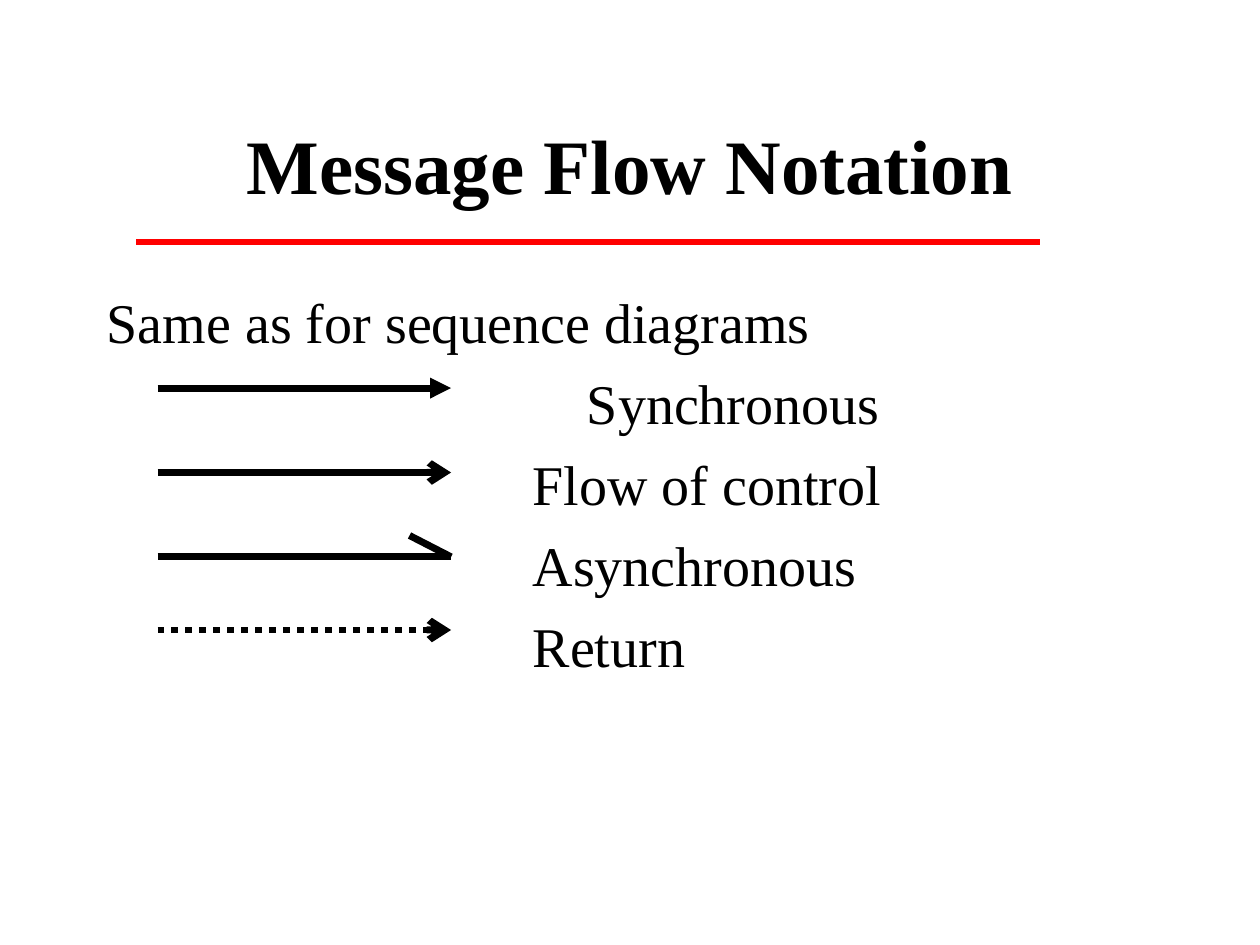
import pptx
import pptx.dml.color
import pptx.enum.dml
import pptx.enum.shapes
import pptx.enum.text
import pptx.oxml
import pptx.oxml.ns
import pptx.util

Inches = pptx.util.Inches
Pt = pptx.util.Pt
COLORS = {"text": "000000", "rule": "FF0000"}
FONT = "Times New Roman"


def add_line(start, end, color, width, head=None, dash=None):
    line = slide.shapes.add_connector(
        pptx.enum.shapes.MSO_CONNECTOR.STRAIGHT,
        Inches(start[0]), Inches(start[1]), Inches(end[0]), Inches(end[1]))
    line.line.color.rgb = pptx.dml.color.RGBColor.from_string(COLORS[color])
    line.line.width = Pt(width)
    if dash:
        line.line.dash_style = dash
    if head:
        tail_end = pptx.oxml.parse_xml(
            f'<a:tailEnd {pptx.oxml.ns.nsdecls("a")} type="{head}"/>')
        line.line._get_or_add_ln().append(tail_end)
    line._element.spPr.append(
        pptx.oxml.parse_xml(f'<a:effectLst {pptx.oxml.ns.nsdecls("a")}/>'))


def style_font(paragraph, size, bold=False):
    paragraph.font.name = FONT
    paragraph.font.size = Pt(size)
    paragraph.font.bold = bold
    paragraph.font.color.rgb = pptx.dml.color.RGBColor.from_string(COLORS["text"])


presentation = pptx.Presentation()
presentation.slide_width = Inches(10)
presentation.slide_height = Inches(7.5)
slide = presentation.slides.add_slide(presentation.slide_layouts[6])

# Title and the rule below it
add_line((1.08, 1.92), (8.25, 1.92), "rule", 3)
title = slide.shapes.add_textbox(Inches(0.75), Inches(0.67), Inches(8.5), Inches(1.25))
title.text_frame.word_wrap = True
title.text_frame.vertical_anchor = pptx.enum.text.MSO_ANCHOR.MIDDLE
paragraph = title.text_frame.paragraphs[0]
paragraph.text = "Message Flow Notation"
paragraph.alignment = pptx.enum.text.PP_ALIGN.CENTER
style_font(paragraph, 44, bold=True)

# Introduction and arrow labels, each with its left indent in inches
body_lines = [
    ("Same as for sequence diagrams", 0),
    ("Synchronous", 3.81),
    ("Flow of control", 3.38),
    ("Asynchronous", 3.38),
    ("Return", 3.38),
]
body = slide.shapes.add_textbox(Inches(0.75), Inches(2.23), Inches(8.5), Inches(4.44))
body.text_frame.word_wrap = True
for index, (text, indent) in enumerate(body_lines):
    if index == 0:
        paragraph = body.text_frame.paragraphs[0]
    else:
        paragraph = body.text_frame.add_paragraph()
        paragraph.space_before = Pt(8)
    paragraph.text = text
    paragraph._p.get_or_add_pPr().set("marL", str(Inches(indent)))
    style_font(paragraph, 32)

# Message arrows; the asynchronous one has a half head drawn as a line
arrow_left, arrow_right = 1.25, 3.58
asynchronous_y = 4.42
arrows = [
    (3.08, "triangle", None),
    (3.75, "arrow", None),
    (asynchronous_y, None, None),
    (5, "arrow", pptx.enum.dml.MSO_LINE.ROUND_DOT),
]
for y, head, dash in arrows:
    add_line((arrow_left, y), (arrow_right, y), "text", 4, head, dash)
add_line((arrow_right, asynchronous_y), (3.25, 4.25), "text", 4)

presentation.save("out.pptx")
